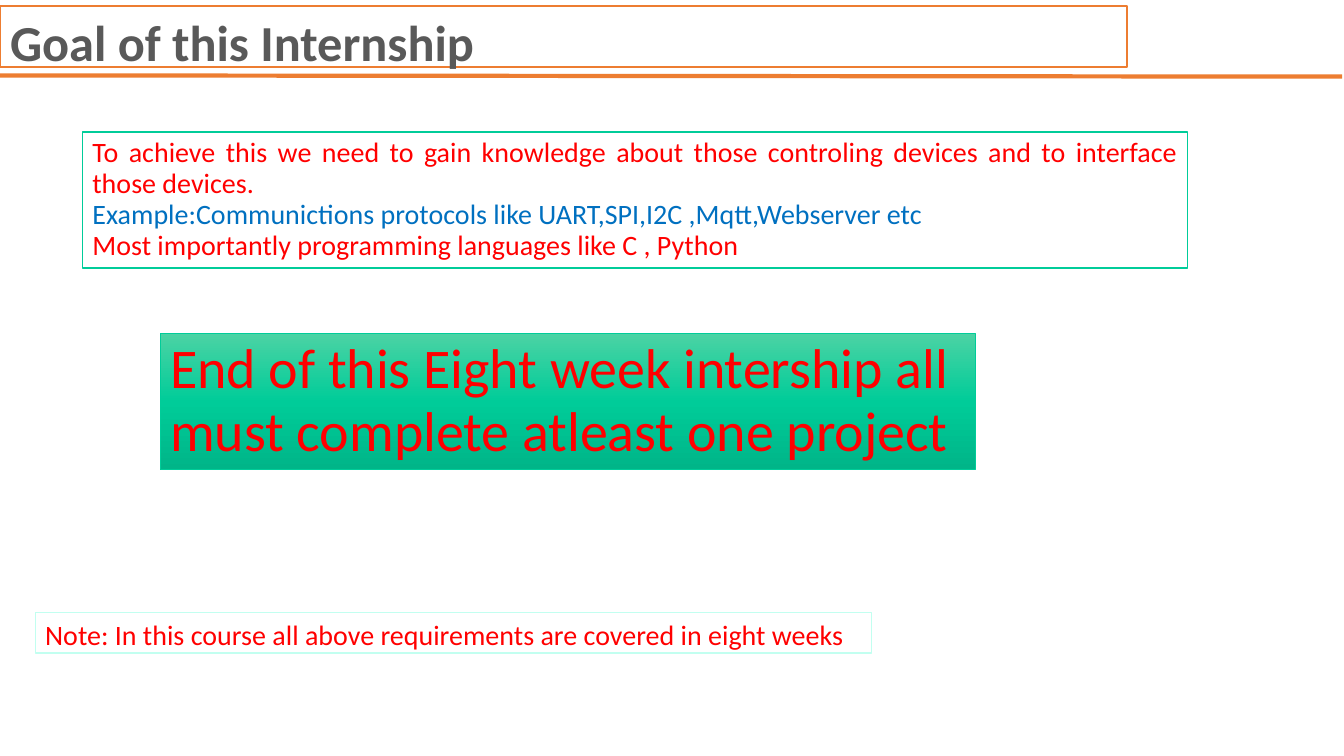
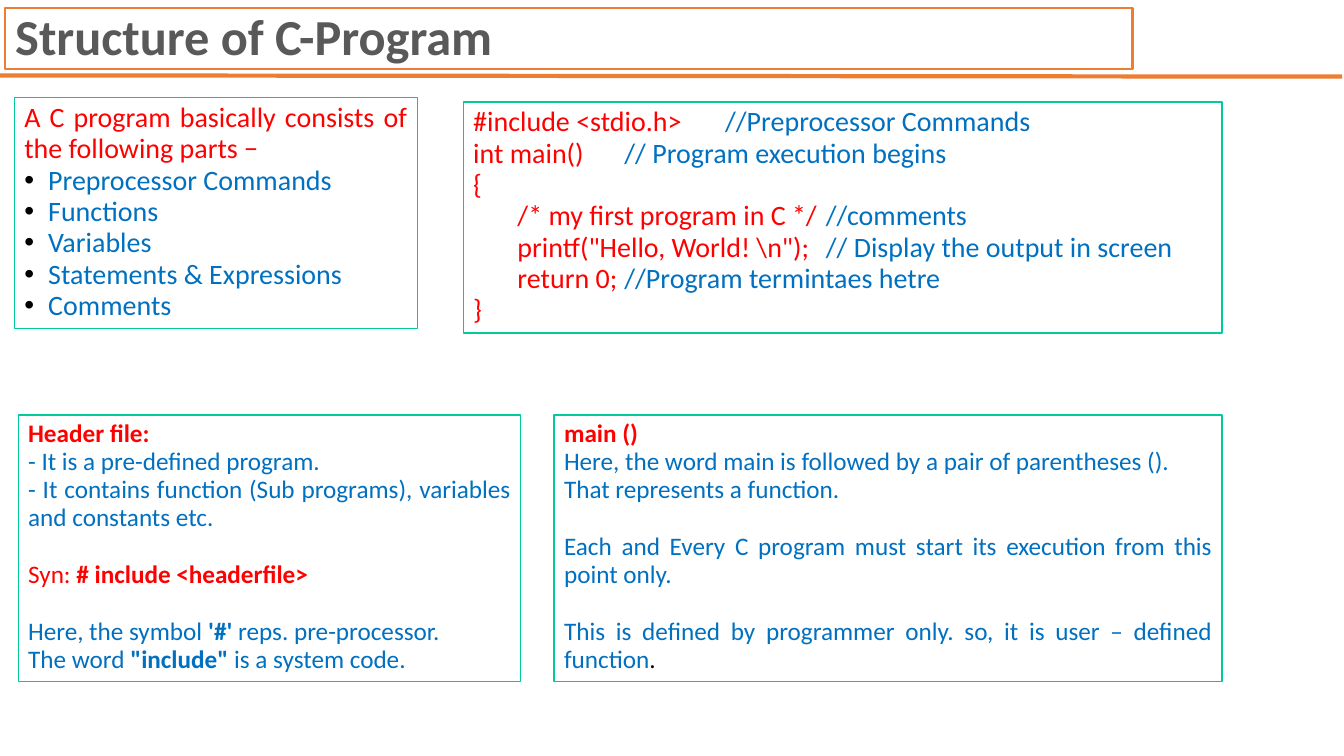
from copy import deepcopy

from pptx import Presentation
from pptx.dml.color import RGBColor
from pptx.enum.shapes import MSO_CONNECTOR, MSO_SHAPE
from pptx.enum.text import MSO_ANCHOR, MSO_AUTO_SIZE, PP_ALIGN
from pptx.oxml.ns import qn
from pptx.oxml.xmlchemy import OxmlElement
from pptx.util import Cm, Pt

RED = RGBColor(0xFF, 0x00, 0x00)
BLUE = RGBColor(0x00, 0x70, 0xC0)
BLACK = RGBColor(0x00, 0x00, 0x00)
WHITE = RGBColor(0xFF, 0xFF, 0xFF)
GRAY = RGBColor(0x59, 0x59, 0x59)
ORANGE = RGBColor(0xED, 0x7D, 0x31)
GREEN = RGBColor(0x00, 0xCC, 0x99)
MINT = RGBColor(0xC2, 0xFF, 0xF0)
LIGHT = RGBColor(0x4B, 0xD3, 0xA4)
DARK = RGBColor(0x00, 0xB5, 0x88)

RECT = MSO_SHAPE.RECTANGLE
STRAIGHT = MSO_CONNECTOR.STRAIGHT
TOP, MIDDLE = MSO_ANCHOR.TOP, MSO_ANCHOR.MIDDLE
FIXED = MSO_AUTO_SIZE.NONE
LEFT, JUST = PP_ALIGN.LEFT, PP_ALIGN.JUSTIFY
TITLE_ONLY, CONTENT = 5, 1
TIGHT = 0.93


def put(item, **form):
    for key, value in form.items():
        setattr(item, key, value)


def child(root, tag, **attrs):
    node = OxmlElement(tag)
    for key, value in attrs.items():
        node.set(key, str(value))
    root.append(node)
    return node


def para(*runs, align=JUST, gap=0, space=TIGHT, bullet=False, tab=None):
    form = dict(alignment=align, space_before=Pt(gap), line_spacing=space)
    return runs, form, bullet, tab


class Deck:
    font = "Calibri"
    indent = Cm(0.6)

    def __init__(self):
        self.show = Presentation()
        put(self.show, slide_width=Cm(33.88), slide_height=Cm(19.05))
        self.slide = None

    def rule(self):
        line = self.slide.shapes.add_connector(
            STRAIGHT, Cm(0), Cm(1.9), Cm(33.83), Cm(1.93))
        put(line.line, width=Pt(3))
        line.line.color.rgb = ORANGE
        child(line.element.spPr, "a:effectLst")
        line.element.nvCxnSpPr.cNvPr.id = 20
        self.show.slide_master.shapes.element.append(line.element)

    def page(self, layout, title, left, top, anchor, space):
        first = self.slide is None
        self.slide = self.show.slides.add_slide(self.show.slide_layouts[layout])
        if first:
            self.rule()
        self.box((left, top, 28.42, 1.55),
                 [para((title, GRAY, True), align=LEFT, space=space)],
                 size=36, edge=ORANGE, width=1.5, fill=None, anchor=anchor,
                 shape=self.slide.shapes.title)

    def box(self, place, paras, size=20, edge=GREEN, width=1, fill=WHITE,
            anchor=TOP, shape=None):
        spots = [Cm(n) for n in place]
        if shape is None:
            shape = self.slide.shapes.add_shape(RECT, *spots)
        put(shape, **dict(zip(("left", "top", "width", "height"), spots)))
        put(shape.shadow, inherit=False)
        put(shape.line, width=Pt(width))
        shape.line.color.rgb = edge
        if fill is None:
            shape.fill.background()
        else:
            shape.fill.solid()
            shape.fill.fore_color.rgb = fill
        frame = shape.text_frame
        put(frame, word_wrap=True, auto_size=FIXED, vertical_anchor=anchor)
        for index, entry in enumerate(paras):
            line = frame.add_paragraph() if index else frame.paragraphs[0]
            self.letter(line, size, *entry)
        return shape

    def letter(self, line, size, runs, form, bullet, tab):
        props = line._p.get_or_add_pPr()
        inset = self.indent if bullet else 0
        props.set("marL", str(int(inset)))
        props.set("indent", str(-int(inset)))
        if bullet:
            child(child(props, "a:buClr"), "a:srgbClr", val=BLACK)
            child(props, "a:buFont", typeface="Arial")
            child(props, "a:buChar", char="•")
        else:
            child(props, "a:buNone")
        if tab:
            child(child(props, "a:tabLst"), "a:tab", pos=int(Cm(tab)), algn="l")
        put(line, **form)
        for text, color, *bold in runs:
            run = line.add_run()
            run.text = text
            put(run.font, name=self.font, size=Pt(size), bold=bool(bold))
            run.font.color.rgb = color

    def blend(self, shape, stops):
        fill = shape.fill
        fill.gradient()
        fill.gradient_angle = 270
        marks = shape.element.spPr.find(".//" + qn("a:gsLst"))
        marks.insert(1, deepcopy(marks[0]))
        for stop, (place, color) in zip(fill.gradient_stops, stops):
            put(stop, position=place)
            stop.color.rgb = color


def goal(deck):
    deck.page(TITLE_ONLY, "Goal of this Internship", 0, 0.15, TOP, 1.0)
    deck.box((2.08, 3.33, 27.86, 3.43), [
        para(("To achieve this we need to gain knowledge about those controling devices "
              "and to interface those devices.", RED)),
        para(("Example:Communictions protocols like UART,SPI,I2C ,Mqtt,Webserver etc", BLUE)),
        para(("Most importantly programming languages like C , Python", RED)),
    ])
    banner = deck.box((4.04, 8.41, 20.55, 3.43), [
        para(("End of this Eight week intership all must complete atleast one project", RED),
             align=LEFT),
    ], size=40, width=0.5)
    deck.blend(banner, [(0, LIGHT), (0.5, GREEN), (1, DARK)])
    deck.box((0.89, 15.44, 21.08, 1.02), [
        para(("Note: In this course all above requirements are covered in eight weeks", RED),
             align=LEFT, space=1.0),
    ], edge=MINT)


def parts(deck):
    deck.page(CONTENT, "Structure of C-Program", 0.13, 0.2, MIDDLE, TIGHT)
    names = ("Preprocessor Commands", "Functions", "Variables",
             "Statements & Expressions", "Comments")
    deck.box((0.36, 2.46, 10.16, 5.82), [
        para(("A C program basically consists of the following parts −", RED)),
        *(para((name, BLUE), align=LEFT, bullet=True) for name in names),
    ], shape=deck.slide.placeholders[1])

    code = (
        ("#include <stdio.h>", "//Preprocessor Commands"),
        ("int main()", "// Program execution begins"),
        ("{", ""),
        ("       /* my first program in C */", "//comments"),
        (r'       printf("Hello, World! \n");', "// Display the output in screen"),
        ("       return 0;", "//Program termintaes hetre"),
        ("}", ""),
    )
    deck.box((11.68, 2.57, 19.13, 5.82), [
        para((left, RED), *([("\t" + note, BLUE)] if note else []), align=LEFT, tab=9.37)
        for left, note in code
    ])

    gap = 20.4
    deck.box((0.46, 10.46, 12.67, 6.71), [
        para(("Header file:", RED, True)),
        para(("- It is a pre-defined program.", BLUE)),
        para(("- It contains function (Sub programs), variables and constants etc.", BLUE)),
        para(("Syn: ", RED), ("# include <headerfile>", RED, True), gap=gap),
        para(("Here, the symbol ", BLUE), ("'#'", BLUE, True),
             (" reps. pre-processor.", BLUE), gap=gap),
        para(("The word ", BLUE), ('"include"', BLUE, True), (" is a system code.", BLUE)),
    ], size=18)
    deck.box((13.97, 10.46, 16.84, 6.71), [
        para(("main ()", RED, True)),
        para(("Here, the word main is followed by a pair of parentheses ().", BLUE)),
        para(("That represents a function.", BLUE)),
        para(("Each and Every C program must start its execution from this point only.", BLUE),
             gap=gap),
        para(("This is defined by programmer only. so, it is user – defined function", BLUE),
             (".", BLACK), gap=gap),
    ], size=18)


def main():
    deck = Deck()
    goal(deck)
    parts(deck)
    deck.show.save("out.pptx")


if __name__ == "__main__":
    main()
